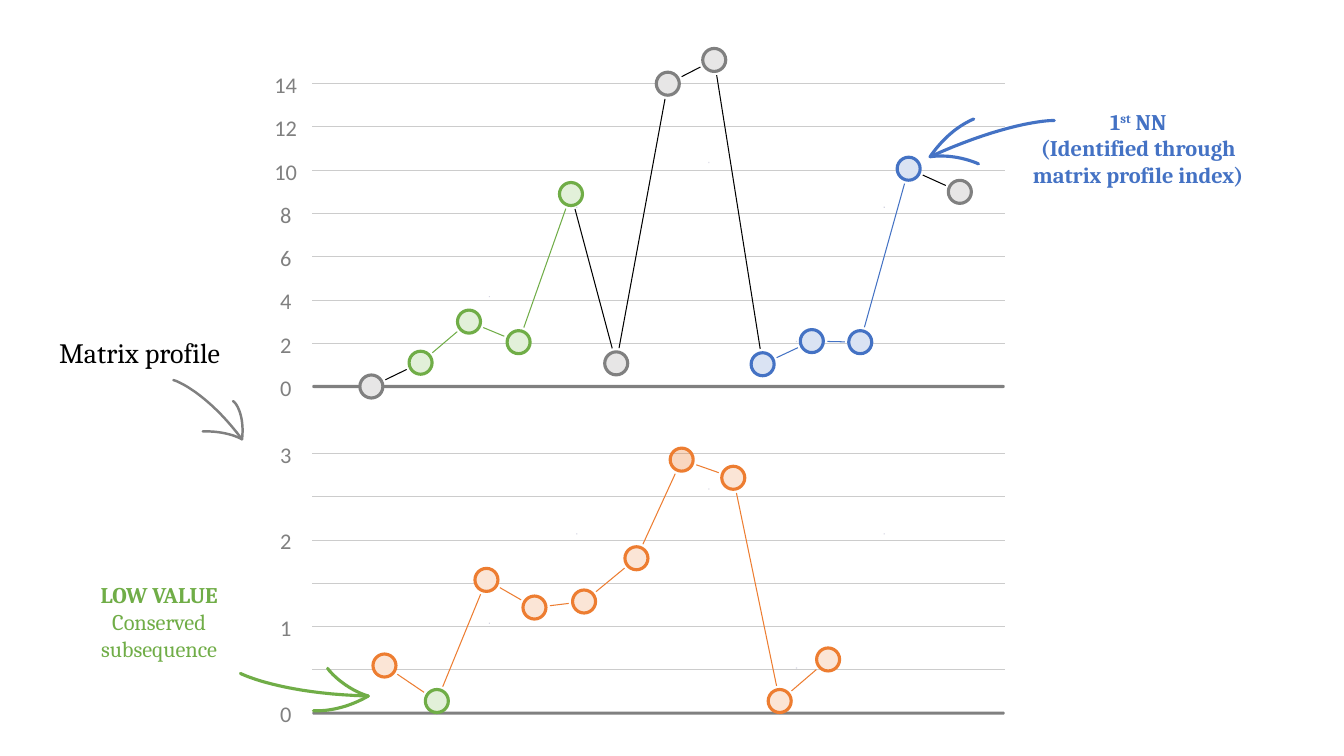
from math import hypot

from lxml.etree import SubElement
from pptx import Presentation
from pptx.dml.color import RGBColor
from pptx.enum.shapes import MSO_CONNECTOR as Connector, MSO_SHAPE as Shape
from pptx.enum.text import MSO_ANCHOR as Anchor, PP_ALIGN as Align
from pptx.oxml.ns import qn
from pptx.util import Cm, Pt

GRAY, GREEN, BLUE, ORANGE = "808080", "70AD47", "4472C4", "ED7D31"
BLACK, GRID, SPECK = "000000", "CCCCCC", "D5D5E2"
TINTS = {GRAY: "E7E6E6", GREEN: "E2F0D9", BLUE: "DAE3F3", ORANGE: "FBE5D6"}
MARKER, GAP = 0.58, 0.39  # marker diameter; distance from marker centre to line end


def color(hex_string):
    return RGBColor.from_string(hex_string)


def add_text(slide, box, paragraphs, size=16, font="Cambria", fill=BLACK,
             align=Align.CENTER, wrap=True, anchor=Anchor.TOP):
    """Each paragraph is a list of (text, bold, superscript) runs."""
    frame = slide.shapes.add_textbox(*map(Cm, box)).text_frame
    frame.word_wrap = wrap
    frame.vertical_anchor = anchor
    for index, runs in enumerate(paragraphs):
        paragraph = frame.add_paragraph() if index else frame.paragraphs[0]
        paragraph.alignment = align
        for text, bold, superscript in runs:
            run = paragraph.add_run()
            run.text = text
            run.font.name, run.font.size, run.font.bold = font, Pt(size), bold
            run.font.color.rgb = color(fill)
            if superscript:
                run.font._element.set("baseline", "30000")


def add_line(slide, start, end, stroke):
    line = slide.shapes.add_connector(Connector.STRAIGHT, *map(Cm, start + end))
    line.line.color.rgb = color(stroke)
    line.line.width = Pt(0.75)
    SubElement(line._element.spPr, qn("a:effectLst"))


def add_filled(slide, kind, box, fill, stroke=None, opacity=None):
    shape = slide.shapes.add_shape(kind, *map(Cm, box))
    shape.shadow.inherit = False
    shape.fill.solid()
    shape.fill.fore_color.rgb = color(fill)
    if opacity:
        tone = shape._element.spPr.find(f"{qn('a:solidFill')}/{qn('a:srgbClr')}")
        SubElement(tone, qn("a:alpha")).set("val", str(opacity * 1000))
    if stroke:
        shape.line.color.rgb = color(stroke)
        shape.line.width = Pt(2.25)
    else:
        shape.line.fill.background()
    return shape


def add_axis(slide, left, baseline, width, step, labels):
    """Gridlines upward from the baseline, one label for each (None for no label)."""
    for index, label in enumerate(labels):
        y = baseline - index * step
        if index:
            add_line(slide, (left, y), (left + width, y), GRID)
        else:
            bar = add_filled(slide, Shape.ROUNDED_RECTANGLE,
                             (left, y - 0.04, width, 0.08), GRAY)
            bar.adjustments[0] = 0.5
        if label is not None:
            label_width = 0.55 + 0.27 * len(label)
            add_text(slide, (left - 0.67 - label_width / 2, y - 0.44, label_width, 0.94),
                     [[(label, False, False)]], font="Calibri", fill=GRAY, wrap=False)
    # Faint specks behind the data
    for x, rise in ((14.4, 4.53), (12.19, 1.15), (9.98, 5.66), (6.65, 4.53), (4.45, 2.28)):
        add_filled(slide, Shape.RECTANGLE, (left + x, baseline - rise, 0.03, 0.03), SPECK)


def add_series(slide, left, baseline, unit, points, line_color):
    """Points are (x, value, colour, opacity); line_color picks a colour for two markers."""
    centers = [(left + x, baseline - value * unit) for x, value, *_ in points]
    for index in range(len(points) - 1):
        (x1, y1), (x2, y2) = centers[index:index + 2]
        share = GAP / hypot(x2 - x1, y2 - y1)
        dx, dy = (x2 - x1) * share, (y2 - y1) * share
        add_line(slide, (x1 + dx, y1 + dy), (x2 - dx, y2 - dy),
                 line_color(points[index][2], points[index + 1][2]))
    for (x, y), (_, _, tone, opacity) in zip(centers, points):
        add_filled(slide, Shape.OVAL, (x - MARKER / 2, y - MARKER / 2, MARKER, MARKER),
                   tone if opacity else TINTS[tone], tone, opacity)


def add_curved_arrow(slide, tip, strokes, stroke_color, weight):
    """Each stroke is a cubic curve ending at the tip, given by three offsets from it."""
    tip_x, tip_y = tip
    for stroke in strokes:
        curve = []
        for index in range(21):
            t = index / 20
            weights = ((1 - t) ** 3, 3 * t * (1 - t) ** 2, 3 * t * t * (1 - t))
            x = tip_x + sum(w * dx for w, (dx, _) in zip(weights, stroke))
            y = tip_y + sum(w * dy for w, (_, dy) in zip(weights, stroke))
            curve.append((Cm(x), Cm(y)))
        builder = slide.shapes.build_freeform(*curve[0])
        builder.add_line_segments(curve[1:], close=False)
        shape = builder.convert_to_shape()
        shape.shadow.inherit = False
        shape.fill.background()
        shape.line.color.rgb = color(stroke_color)
        shape.line.width = Pt(weight)
        shape.line._get_or_add_ln().set("cap", "rnd")


def add_time_series(slide, left, baseline, width):
    step = 1.09
    add_axis(slide, left, baseline, width, step, [str(n) for n in range(0, 15, 2)])
    xs = (1.49, 2.73, 3.95, 5.2, 6.52, 7.66, 8.96, 10.13, 11.35, 12.59, 13.81, 15.03, 16.32)
    values = (0, 1.1, 3, 2.05, 8.9, 1.07, 14, 15.1, 1.03, 2.1, 2.05, 10.07, 9)
    tones = [GRAY] + [GREEN] * 4 + [GRAY] * 3 + [BLUE] * 4 + [GRAY]
    points = [(x, value, tone, None) for x, value, tone in zip(xs, values, tones)]
    add_series(slide, left, baseline, step / 2, points,
               lambda first, second: first if first == second != GRAY else BLACK)


def add_matrix_profile(slide, left, baseline, width):
    step = 1.09
    add_axis(slide, left, baseline, width, step, ["0", None, "1", None, "2", None, "3"])
    xs = (1.82, 3.14, 4.39, 5.6, 6.85, 8.17, 9.31, 10.61, 11.78, 13)
    values = (0.55, 0.14, 1.54, 1.22, 1.29, 1.79, 2.93, 2.72, 0.14, 0.62)
    points = [(x, value, GREEN if index == 1 else ORANGE, 30 if index == 6 else None)
              for index, (x, value) in enumerate(zip(xs, values))]
    add_series(slide, left, baseline, step * 2, points, lambda first, second: ORANGE)


def add_notes_around_charts(slide):
    # Matrix profile
    add_text(slide, (1.24, 8.33, 4.57, 1.12), [[("Matrix profile", False, False)]],
             size=20, align=Align.LEFT)
    add_curved_arrow(slide, (6.1, 11.07), (
        ((-1.73, -1.49), (-1.68, -1.49), (-0.89, -1.19)),
        ((-0.99, -0.2), (-0.94, -0.2), (-0.41, -0.22)),
        ((-0.23, -0.96), (-0.16, -0.94), (0.07, -0.61))), GRAY, 1.75)
    # First nearest neighbour
    add_text(slide, (25.7, 2.59, 5.97, 2.31), [
        [("1", True, False), ("st", True, True), (" NN", True, False)],
        [("(Identified through matrix profile index)", True, False)]], fill=BLUE)
    add_curved_arrow(slide, (23.44, 3.95), (
        ((3.13, -0.91), (3.1, -0.92), (2.01, -0.91)),
        ((1.22, 0.18), (1.2, 0.17), (0.64, -0.09)),
        ((1.1, -0.95), (0.69, -0.77), (0.33, -0.47))), BLUE, 2.25)
    # Low value
    add_text(slide, (1.9, 14.53, 4.22, 2.31), [
        [("LOW VALUE", True, False)], [("Conserved subsequence", False, False)]], fill=GREEN)
    add_curved_arrow(slide, (9.28, 17.54), (
        ((-3.22, -0.57), (-3.18, -0.55), (-2.19, -0.06)),
        ((-1.02, -0.7), (-1.02, -0.67), (-0.62, -0.19)),
        ((-1.38, 0.37), (-1.02, 0.39), (-0.49, 0.29))), GREEN, 2.25)


def main():
    presentation = Presentation()
    presentation.slide_width, presentation.slide_height = Cm(33.87), Cm(19.05)
    slide = presentation.slides.add_slide(presentation.slide_layouts[6])
    add_time_series(slide, left=7.87, baseline=9.74, width=17.45)
    add_matrix_profile(slide, left=7.87, baseline=17.97, width=17.45)
    add_notes_around_charts(slide)
    presentation.save("out.pptx")


if __name__ == "__main__":
    main()
